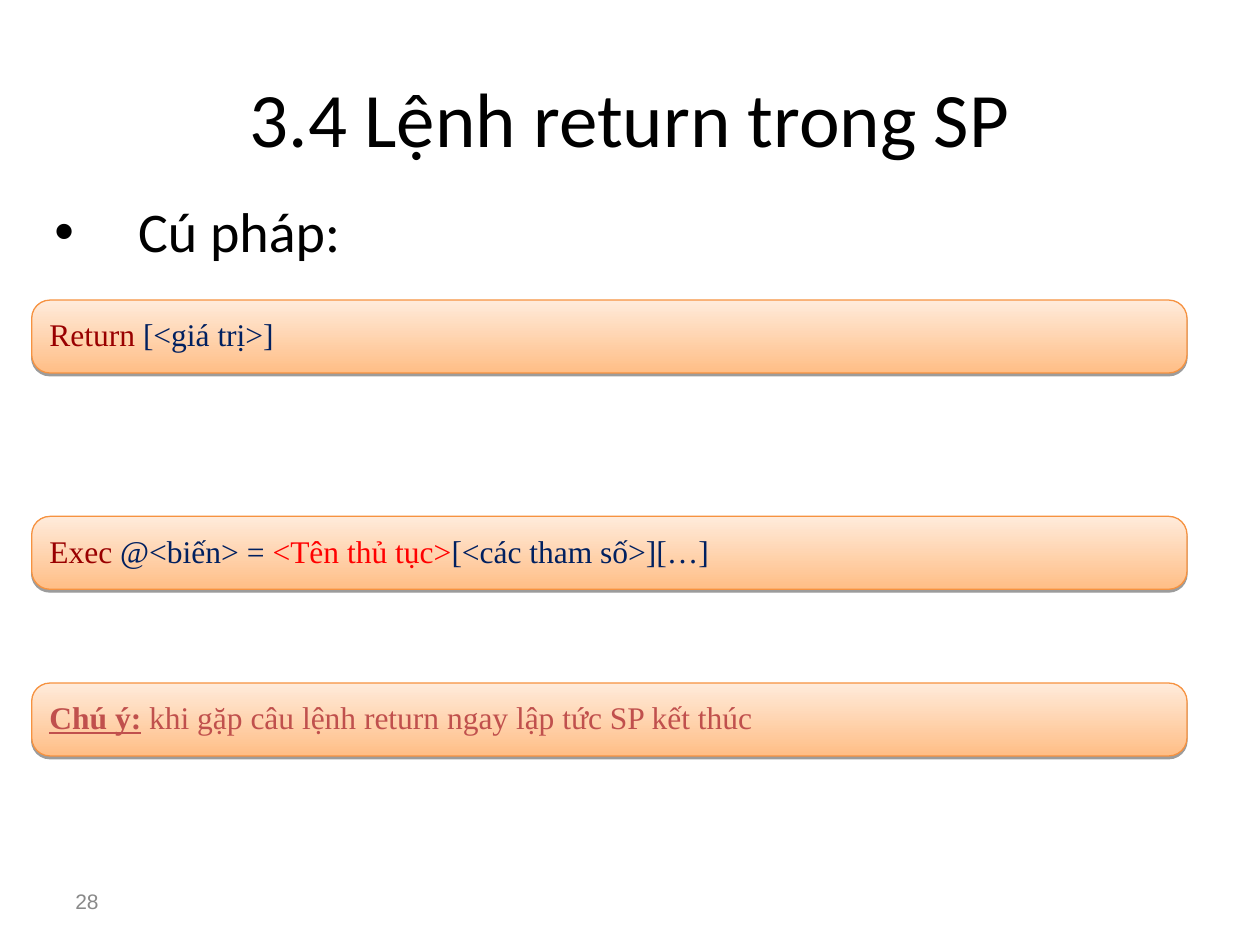
from dataclasses import dataclass

from lxml import etree
from pptx import Presentation
from pptx.dml.color import RGBColor
from pptx.enum.shapes import MSO_SHAPE
from pptx.enum.text import MSO_ANCHOR, MSO_AUTO_SIZE, PP_ALIGN
from pptx.oxml.ns import qn
from pptx.util import Cm, Pt

ROUNDED = MSO_SHAPE.ROUNDED_RECTANGLE
MIDDLE = MSO_ANCHOR.MIDDLE
NO_AUTOFIT = MSO_AUTO_SIZE.NONE
JUSTIFY = PP_ALIGN.JUSTIFY
CENTER = PP_ALIGN.CENTER

BLACK = "000000"
KEYWORD = "990000"
ARGUMENT = "002060"
PROCEDURE = "FF0000"
NOTE = "C0504D"


@dataclass
class Piece:
    text: str
    color: str
    emphasized: bool = False


@dataclass
class Banner:
    top: float
    pieces: list[Piece]


BANNERS = [
    Banner(6.05, [Piece("Return ", KEYWORD), Piece("[<giá trị>]", ARGUMENT)]),
    Banner(10.41, [
        Piece("Exec ", KEYWORD),
        Piece("@<biến> = ", ARGUMENT),
        Piece("<Tên thủ tục>", PROCEDURE),
        Piece("[<các tham số>][…]", ARGUMENT),
    ]),
    Banner(13.77, [
        Piece("Chú ý:", NOTE, True),
        Piece(" khi gặp câu lệnh return ngay lập tức SP kết thúc", NOTE),
    ]),
]


def rgb(color: str) -> RGBColor:
    return RGBColor.from_string(color)


def style(font, name: str, size: float, color: str) -> None:
    font.name = name
    font.size = Pt(size)
    font.color.rgb = rgb(color)


def place(shape, left: float, top: float, width: float, height: float) -> None:
    shape.left, shape.top = Cm(left), Cm(top)
    shape.width, shape.height = Cm(width), Cm(height)


def add_bullet(paragraph, indent: float) -> None:
    properties = paragraph._p.get_or_add_pPr()
    properties.set("marL", str(Cm(indent)))
    properties.set("indent", str(-Cm(indent)))
    etree.SubElement(properties, qn("a:buFont"), typeface="Arial")
    etree.SubElement(properties, qn("a:buChar"), char="•")


def add_shadow(shape) -> None:
    shape.shadow.inherit = False
    effects = shape._element.spPr.find(qn("a:effectLst"))
    shadow = etree.SubElement(
        effects, qn("a:outerShdw"), blurRad="0", dist=str(Pt(1.6)),
        dir="5400000", rotWithShape="0")
    shade = etree.SubElement(shadow, qn("a:srgbClr"), val=BLACK)
    etree.SubElement(shade, qn("a:alpha"), val="38000")


def draw_banner(slide, banner: Banner) -> None:
    shape = slide.shapes.add_shape(
        ROUNDED, Cm(0.64), Cm(banner.top), Cm(23.29), Cm(1.47))
    shape.adjustments[0] = 0.25
    shape.fill.gradient()
    shape.fill.gradient_angle = 90
    for stop, color in zip(shape.fill.gradient_stops, ("FFBE86", "FFEBDB")):
        stop.color.rgb = rgb(color)
    shape.line.color.rgb = rgb("F69240")
    shape.line.width = Pt(0.75)
    add_shadow(shape)
    shape.text_frame.vertical_anchor = MIDDLE
    paragraph = shape.text_frame.paragraphs[0]
    paragraph.alignment = JUSTIFY
    paragraph.line_spacing = 0.9
    for piece in banner.pieces:
        run = paragraph.add_run()
        run.text = piece.text
        style(run.font, "Times New Roman", 18, piece.color)
        run.font.bold = piece.emphasized
        run.font.underline = piece.emphasized


def draw_heading(slide) -> None:
    heading = slide.shapes.title
    place(heading, 1.27, 0.76, 22.86, 3.18)
    heading.text_frame.text = "3.4 Lệnh return trong SP"
    heading.text_frame.auto_size = NO_AUTOFIT
    heading.text_frame.vertical_anchor = MIDDLE
    paragraph = heading.text_frame.paragraphs[0]
    paragraph.alignment = CENTER
    style(paragraph.runs[0].font, "Calibri", 44, BLACK)


def draw_syntax_label(slide) -> None:
    syntax = slide.placeholders[1]
    place(syntax, 0.84, 3.99, 22.86, 1.5)
    syntax.text_frame.text = "Cú pháp:"
    syntax.text_frame.auto_size = NO_AUTOFIT
    paragraph = syntax.text_frame.paragraphs[0]
    add_bullet(paragraph, 1.69)
    paragraph.line_spacing = 0.9
    paragraph.space_before = Pt(0)
    style(paragraph.runs[0].font, "Calibri", 32, BLACK)


def draw_page_number(slide) -> None:
    page = slide.shapes.add_textbox(Cm(1.27), Cm(17.65), Cm(5.92), Cm(1.02))
    page.text_frame.word_wrap = True
    page.text_frame.vertical_anchor = MIDDLE
    page.text_frame.text = "28"
    style(page.text_frame.paragraphs[0].runs[0].font, "Arial", 12, "898989")


def main() -> None:
    deck = Presentation()
    deck.slide_width, deck.slide_height = Cm(25.4), Cm(19.05)
    slide = deck.slides.add_slide(deck.slide_layouts[1])
    draw_heading(slide)
    draw_syntax_label(slide)
    for banner in BANNERS:
        draw_banner(slide, banner)
    draw_page_number(slide)
    deck.save("out.pptx")


if __name__ == "__main__":
    main()
